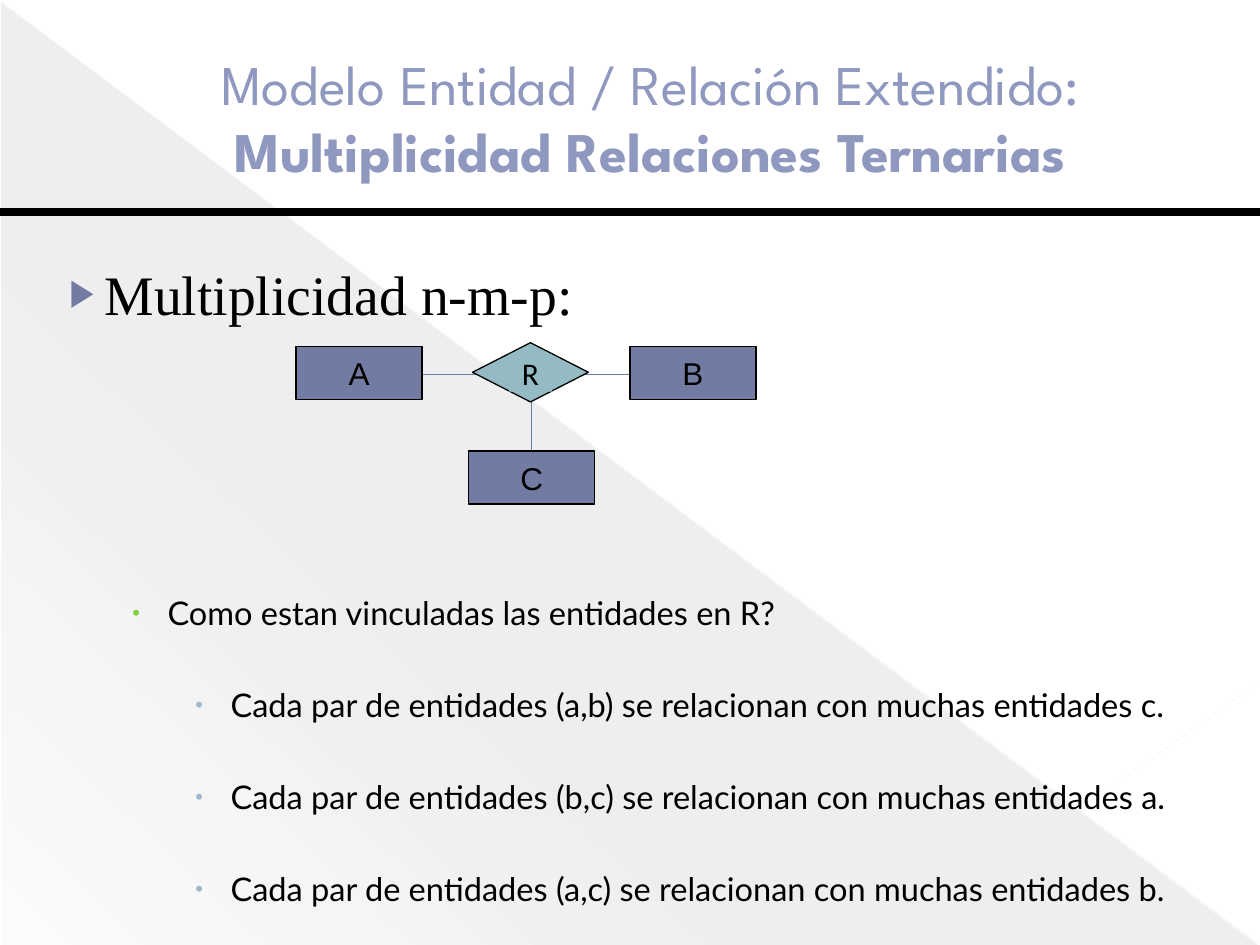
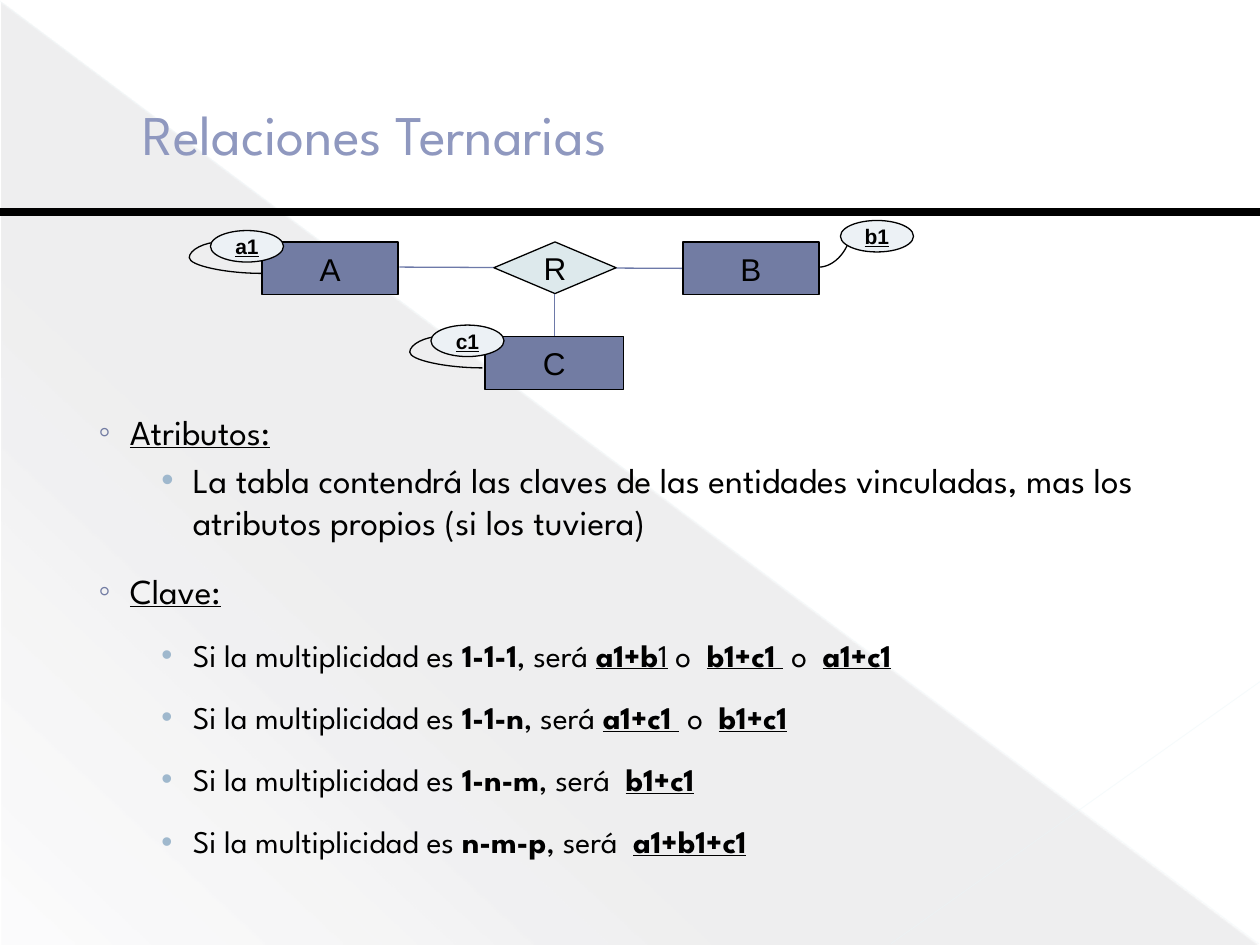
from lxml.etree import SubElement as Sub
from pptx import Presentation
from pptx.dml.color import RGBColor as RGB
from pptx.enum.shapes import MSO_CONNECTOR as Conn, MSO_SHAPE as Geom
from pptx.enum.text import MSO_ANCHOR as Anchor, MSO_AUTO_SIZE as Fit, PP_ALIGN as Align
from pptx.oxml.ns import qn
from pptx.util import Inches, Pt

# Colours
BLACK = RGB(0x00, 0x00, 0x00)
SLATE = RGB(0x46, 0x46, 0x53)
LILAC = RGB(0x8F, 0x98, 0xBF)
INDIGO = RGB(0x72, 0x7C, 0xA3)
WIRE = RGB(0x6D, 0x79, 0xA8)
TEAL = RGB(0x94, 0xBA, 0xC3)
PALE = RGB(0xDD, 0xE9, 0xEC)
MIST = RGB(0xEC, 0xF1, 0xF5)
ICE = RGB(0xE9, 0xF6, 0xF9)
FROST = RGB(0xEB, 0xF6, 0xF9)
GREEN = RGB(0x7F, 0xD1, 0x3B)
SKY = RGB(0x9F, 0xB8, 0xCD)

# Fonts
HEAD = "League Spartan"
SANS = "Arial"


def write(par, text, size=18, font=SANS, color=BLACK, bold=False, under=False):
    """Add one formatted run to a paragraph."""
    run = par.add_run()
    run.text = text
    face = run.font
    face.size, face.name = Pt(size), font
    face.bold, face.underline = bold, under
    face.color.rgb = color


def place(shape, left, top, width, height):
    shape.left, shape.top = Inches(left), Inches(top)
    shape.width, shape.height = Inches(width), Inches(height)


# Lines
def link(slide, start, end, color=WIRE, width=0.75, alpha=None, kind=Conn.STRAIGHT):
    line = slide.shapes.add_connector(kind, *map(Inches, start + end))
    line.line.color.rgb = color
    line.line.width = Pt(width)
    props = line.element.spPr
    if alpha:
        tint = next(props.iter(qn("a:srgbClr")))
        Sub(tint, qn("a:alpha"), val=str(alpha * 1000))
    Sub(props, qn("a:effectLst"))
    return line


def curve(slide, start, end, bend=None):
    """Curved line: bulging sideways by bend, or a quarter turn without it."""
    line = link(slide, start, end, BLACK, kind=Conn.CURVE)
    geom = line.element.spPr.find(qn("a:prstGeom"))
    if bend is None:
        geom.set("prst", "curvedConnector2")
    else:
        guides = geom.find(qn("a:avLst"))
        Sub(guides, qn("a:gd"), name="adj1", fmla=f"val {round(bend * 100000)}")


# Diagram parts
def box(slide, geom, at, fill, text="", edge=True, **style):
    shape = slide.shapes.add_shape(geom, *map(Inches, at))
    shape.shadow.inherit = False
    shape.fill.solid()
    shape.fill.fore_color.rgb = fill
    if edge:
        shape.line.color.rgb = BLACK
        shape.line.width = Pt(0.75)
    else:
        shape.line.fill.background()
    if text:
        frame = shape.text_frame
        frame.word_wrap = False
        frame.vertical_anchor = Anchor.MIDDLE
        frame.margin_left = frame.margin_right = 0
        frame.margin_top = frame.margin_bottom = 0
        par = frame.paragraphs[0]
        par.alignment = Align.CENTER
        write(par, text, **style)


def entity(slide, name, left, top, width):
    box(slide, Geom.RECTANGLE, (left, top, width, 0.42), INDIGO, name)


def key(slide, name, left, top):
    box(slide, Geom.OVAL, (left, top, 0.58, 0.25), MIST, name,
        size=12, bold=True, under=True)


# Backdrop shared by all slides
def backdrop(slide, layout):
    """Draw the backdrop and move it to the layout."""
    wedge = slide.shapes.add_shape(
        Geom.RIGHT_TRIANGLE, *map(Inches, (0.01, 0.02, 9.98, 7.48)))
    wedge.shadow.inherit = False
    wedge.line.fill.background()
    grad = wedge.element.spPr.makeelement(qn("a:gradFill"), {"rotWithShape": "1"})
    stops = Sub(grad, qn("a:gsLst"))
    for pos, alpha in ((0, 10), (70, 8), (100, 1)):
        stop = Sub(stops, qn("a:gs"), pos=str(pos * 1000))
        tint = Sub(stop, qn("a:srgbClr"), val=str(SLATE))
        Sub(tint, qn("a:alpha"), val=str(alpha * 1000))
    Sub(grad, qn("a:lin"), ang=str(133 * 60000), scaled="0")
    wedge.element.spPr.find(qn("a:prstGeom")).addnext(grad)
    parts = [
        wedge,
        link(slide, (0, 0.01), (9.99, 7.49), ICE, 0.39, 35),
        link(slide, (10, 5.41), (7.07, 7.49), FROST, 0.47, 45),
        link(slide, (0, 1.68), (10, 1.68), BLACK, 4.5),
    ]
    for spot, part in enumerate(parts, 2):
        layout.shapes.element.insert(spot, part.element)


# Title and list
def title(slide, at, align):
    shape = slide.shapes.title
    place(shape, *at)
    frame = shape.text_frame
    frame.auto_size = Fit.NONE
    frame.word_wrap = True
    frame.vertical_anchor = Anchor.MIDDLE
    par = frame.paragraphs[0]
    par.alignment = align
    return par


def body(slide, *at):
    shape = slide.placeholders[1]
    place(shape, *at)
    frame = shape.text_frame
    frame.auto_size = Fit.NONE
    frame.word_wrap = True
    frame.vertical_anchor = Anchor.TOP
    return frame


def item(frame, runs, level, mark, tint, left, hang, before=0, lines=1.0,
         scale=100, **style):
    """Add a list line; runs are (text, flags), with b for bold, u for underline."""
    par = frame.paragraphs[0]
    if par.runs:
        par = frame.add_paragraph()
    par.level = level
    par.alignment = Align.LEFT
    par.line_spacing = lines
    par.space_before = Pt(before)
    props = par._p.get_or_add_pPr()
    props.set("marL", str(Inches(left)))
    props.set("indent", str(-Inches(hang)))
    Sub(Sub(props, qn("a:buClr")), qn("a:srgbClr"), val=str(tint))
    Sub(props, qn("a:buSzPct"), val=str(scale * 1000))
    Sub(props, qn("a:buChar"), char=mark)
    for text, flags in runs:
        write(par, text, bold="b" in flags, under="u" in flags, **style)


# Slides
def many(slide):
    par = title(slide, (0.33, 0.3, 9.67, 1.25), Align.CENTER)
    look = dict(size=32, font=HEAD, color=LILAC)
    write(par, "Modelo", **look)
    write(par, " ", size=30, color=SLATE)
    write(par, "Entidad / Relación Extendido:", **look)
    par.add_line_break()
    write(par, "Multiplicidad Relaciones Ternarias", bold=True, **look)

    frame = body(slide, 0.33, 2.01, 9.5, 4.91)
    item(frame, [("Multiplicidad n-m-p:", "")], 0, "▶", INDIGO, 0.4, 0.28,
         scale=68, size=31.8, font="Times New Roman")
    small = dict(hang=0.28, scale=68, size=18.6, font="Lato")
    item(frame, [("Como estan vinculadas las entidades en R?", "")], 1, "•", GREEN,
         0.9, before=152.4, **small)
    for pair, other in (("a,b", "c"), ("b,c", "a"), ("a,c", "b")):
        text = f"Cada par de entidades ({pair}) se relacionan con muchas entidades {other}."
        item(frame, [(text, "")], 2, "•", SKY, 1.4, before=30.3, **small)

    # Ternary diagram
    link(slide, (4.22, 3.14), (4.22, 3.58))
    link(slide, (3.35, 2.97), (5, 2.97))
    box(slide, Geom.DIAMOND, (3.75, 2.72, 0.92, 0.47), TEAL)
    box(slide, Geom.RECTANGLE, (4.04, 2.81, 0.34, 0.3), TEAL, "R", edge=False,
        font="Calibri")
    for name, left, top in (("A", 2.35, 2.75), ("B", 5, 2.75), ("C", 3.72, 3.58)):
        entity(slide, name, left, top, 1)


def keys(slide):
    par = title(slide, (0.5, 0.29, 9, 1.53), Align.LEFT)
    par._p.get_or_add_pPr().set("marL", str(Inches(0.53)))
    write(par, "Relaciones Ternarias", size=32, font=HEAD, color=LILAC)

    # Attributes and keys
    frame = body(slide, 0.25, 3.21, 9.58, 4.2)
    head = dict(level=0, mark="◦", tint=INDIGO, left=0.68, hang=0.25, font=HEAD, size=20)
    sub = dict(level=1, mark="•", tint=SKY, left=1.18, hang=0.25, font=HEAD, before=3.2)
    item(frame, [("Atributos:", "u")], **head)
    item(frame, [("La tabla contendrá las claves de las entidades vinculadas, "
                  "mas los atributos propios (si los tuviera)", "")], size=20, **sub)
    item(frame, [("Clave:", "u")], before=3.2, lines=1.5, **head)
    cases = [
        ("1-1-1", ", será ", [("a1+b", "bu"), ("1", "u"), (" o  ", ""),
                              ("b1+c1 ", "bu"), (" o  ", ""), ("a1+c1", "bu")]),
        ("1-1-n", ", será ", [("a1+c1 ", "bu"), (" o  ", ""), ("b1+c1", "bu")]),
        ("1-n-m", ", será  ", [("b1+c1", "bu")]),
        ("n-m-p", ", será  ", [("a1+b1+c1", "bu")]),
    ]
    for ratio, verb, picks in cases:
        runs = [("Si la multiplicidad es ", ""), (ratio, "b"), (verb, "")] + picks
        item(frame, runs, lines=1.5, size=18, **sub)

    # Ternary diagram with key attributes
    curve(slide, (3.83, 2.92), (3.5, 2.67), 1.75)
    curve(slide, (2.08, 2.17), (1.75, 1.92), 1.75)
    curve(slide, (6.5, 2.12), (6.75, 1.83))
    link(slide, (3.17, 2.12), (5.42, 2.13))
    box(slide, Geom.DIAMOND, (3.92, 1.92, 0.97, 0.41), PALE, "R")
    for name, left, top, width in (("A", 2.08, 1.92, 1.08), ("B", 5.42, 1.92, 1.08),
                                   ("C", 3.85, 2.67, 1.1)):
        entity(slide, name, left, top, width)
    link(slide, (4.4, 2.33), (4.4, 2.67))
    for name, left, top in (("a1", 1.67, 1.83), ("c1", 3.42, 2.58), ("b1", 6.67, 1.75)):
        key(slide, name, left, top)


def main():
    deck = Presentation()
    deck.slide_width, deck.slide_height = Inches(10), Inches(7.5)
    layout = deck.slide_layouts[1]
    first = deck.slides.add_slide(layout)
    backdrop(first, layout)
    many(first)
    keys(deck.slides.add_slide(layout))
    deck.save("out.pptx")


if __name__ == "__main__":
    main()
